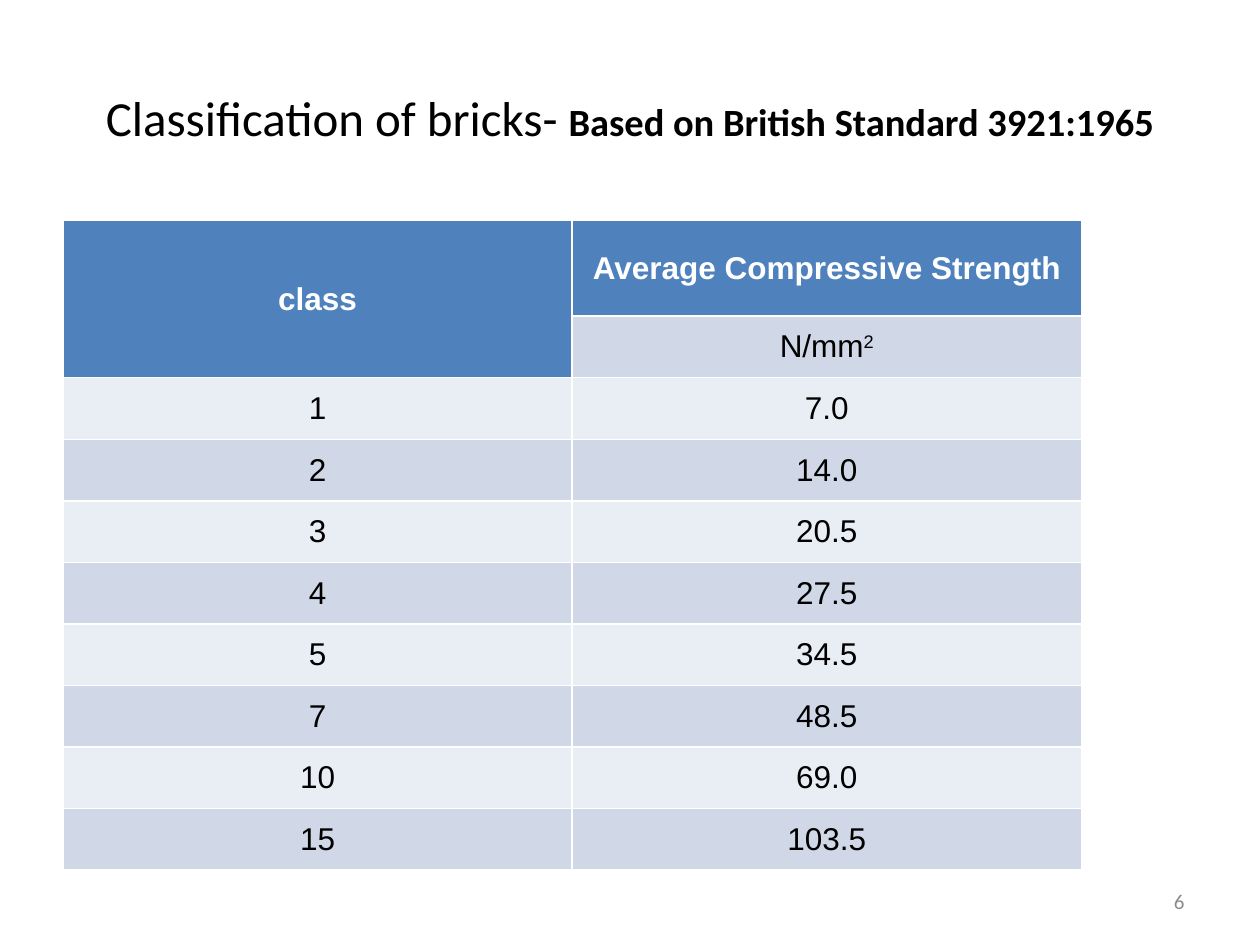
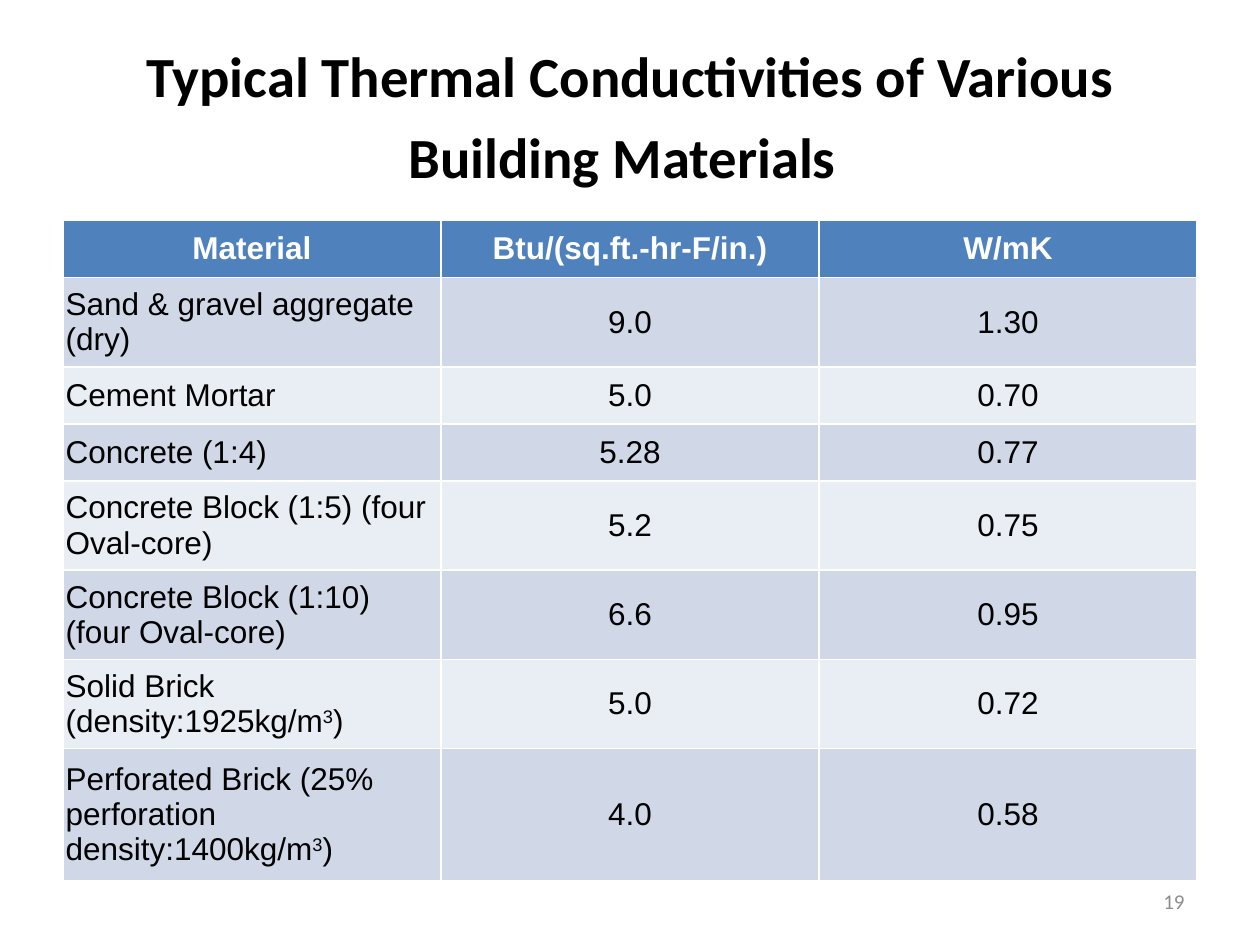
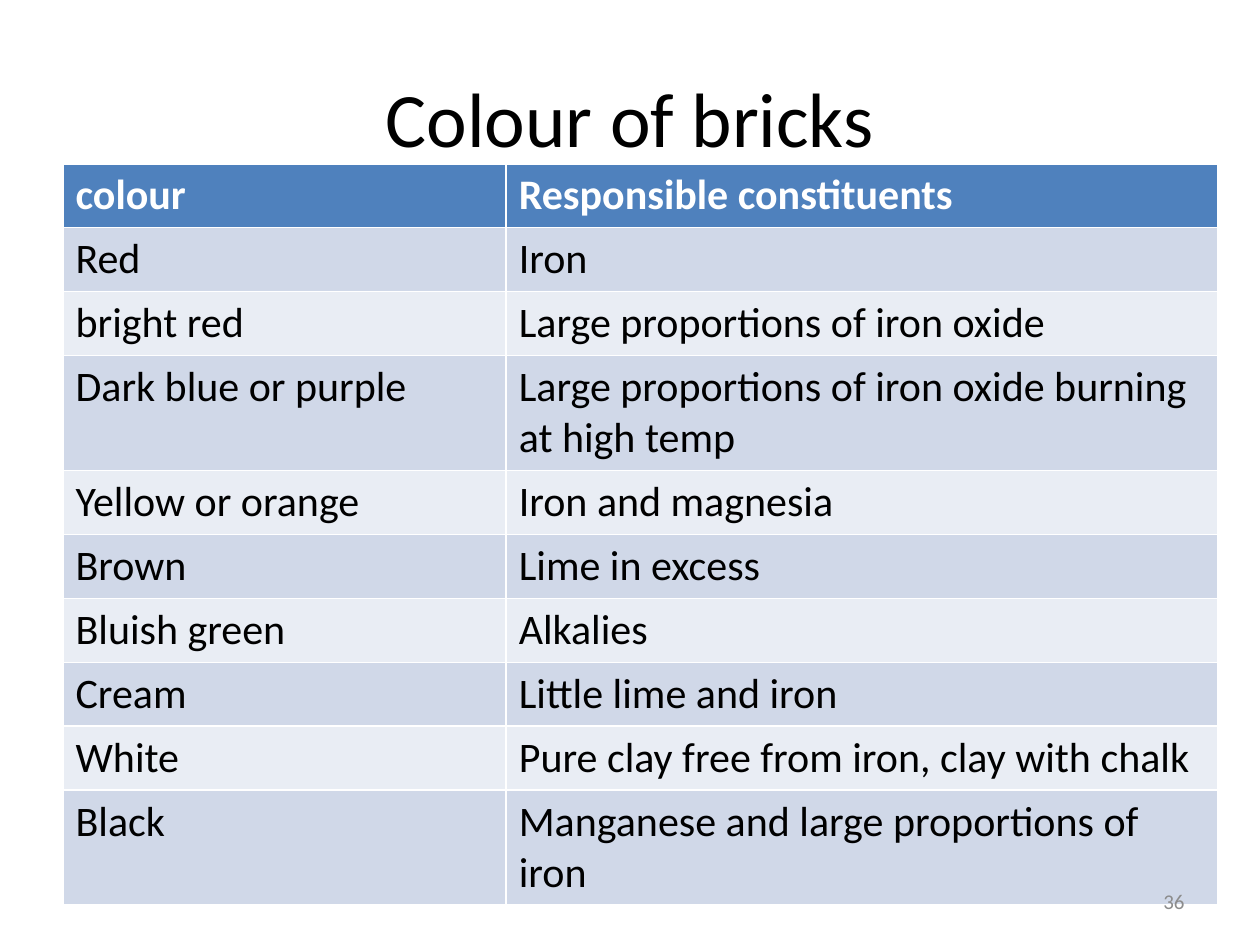
import pptx
import pptx.dml.color
import pptx.enum.text
import pptx.util

Pt = pptx.util.Pt
ALIGN = pptx.enum.text.PP_ALIGN
MIDDLE = pptx.enum.text.MSO_ANCHOR.MIDDLE
TOP = pptx.enum.text.MSO_ANCHOR.TOP

# Shared look
HEADER, BAND_DARK, BAND_LIGHT = "4F81BD", "D0D8E8", "E9EDF4"
WHITE, BLACK, GREY = "FFFFFF", "000000", "8C8C8C"
TITLE_BOX = (36, 21.6, 648, 90)
NUMBER_BOX = (516, 500.4, 168, 28.8)
TABLE_LEFT = 36

# Table styles: text between carets in a cell is superscript
DATA_STYLE = dict(font="Arial", size=18, margins=(1.5, 1.5), anchor=MIDDLE)
LIST_STYLE = dict(font="Calibri", size=24, margins=(7.2, 3.6), anchor=TOP)

# Content: title runs are (text, size, bold)
SLIDES = [
    dict(
        number="6",
        title=[("Classification of bricks- ", 28, False),
               ("Based on British Standard 3921:1965", 22, True)],
        top=126, columns=[291, 291], heights=[54.7] + [35.2] * 9,
        style=DATA_STYLE, aligns=[ALIGN.CENTER] * 2, first_column_span=2,
        rows=[
            ("class", "Average Compressive Strength"),
            ("", "N/mm^2^"),
            ("1", "7.0"),
            ("2", "14.0"),
            ("3", "20.5"),
            ("4", "27.5"),
            ("5", "34.5"),
            ("7", "48.5"),
            ("10", "69.0"),
            ("15", "103.5"),
        ],
    ),
    dict(
        number="19",
        title=[("Typical Thermal Conductivities of Various Building Materials", 32.4, True),
               (" ", 39.6, False)],
        top=126, columns=[216] * 3,
        heights=[32.6, 51, 32.6, 32.6, 51, 51, 51, 75.4],
        style=DATA_STYLE, aligns=[ALIGN.LEFT, ALIGN.CENTER, ALIGN.CENTER],
        first_column_span=1,
        rows=[
            ("Material", "Btu/(sq.ft.-hr-F/in.)", "W/mK"),
            ("Sand & gravel aggregate (dry)", "9.0", "1.30"),
            ("Cement Mortar", "5.0", "0.70"),
            ("Concrete (1:4)", "5.28", "0.77"),
            ("Concrete Block (1:5) (four Oval-core)", "5.2", "0.75"),
            ("Concrete Block (1:10) (four Oval-core)", "6.6", "0.95"),
            ("Solid Brick (density:1925kg/m^3^)", "5.0", "0.72"),
            ("Perforated Brick (25% perforation density:1400kg/m^3^)", "4.0", "0.58"),
        ],
    ),
    dict(
        number="36",
        title=[("Colour of bricks", 44, False)],
        top=93.6, columns=[253.3, 406.7], heights=[29.5] * 10,
        style=LIST_STYLE, aligns=[ALIGN.LEFT] * 2, first_column_span=1,
        rows=[
            ("colour", "Responsible constituents"),
            ("Red", "Iron"),
            ("bright red", "Large proportions of iron oxide"),
            ("Dark blue or purple", "Large proportions of iron oxide burning at high temp"),
            ("Yellow or orange", "Iron and magnesia"),
            ("Brown", "Lime in excess"),
            ("Bluish green", "Alkalies"),
            ("Cream", "Little lime and iron"),
            ("White", "Pure clay free from iron, clay with chalk"),
            ("Black", "Manganese and large proportions of iron"),
        ],
    ),
]


def color(value):
    return pptx.dml.color.RGBColor.from_string(value)


def add_run(para, text, font, size, tint, bold=False):
    run = para.add_run()
    run.text = text
    run.font.name = font
    run.font.size = Pt(size)
    run.font.bold = bold
    run.font.color.rgb = color(tint)
    return run


def add_title(page, runs):
    title = page.shapes.title
    title.left, title.top, title.width, title.height = map(Pt, TITLE_BOX)
    frame = title.text_frame
    frame.auto_size = pptx.enum.text.MSO_AUTO_SIZE.NONE
    frame.vertical_anchor = MIDDLE
    para = frame.paragraphs[0]
    para.alignment = ALIGN.CENTER
    for text, size, bold in runs:
        add_run(para, text, "Calibri", size, BLACK, bold)


def add_number(page, number):
    frame = page.shapes.add_textbox(*map(Pt, NUMBER_BOX)).text_frame
    frame.word_wrap = True
    frame.vertical_anchor = MIDDLE
    para = frame.paragraphs[0]
    para.alignment = ALIGN.RIGHT
    add_run(para, number, "Calibri", 12, GREY)


def fill_cell(cell, text, style, align, background, is_header):
    cell.fill.solid()
    cell.fill.fore_color.rgb = color(background)
    side, edge = map(Pt, style["margins"])
    cell.margin_left = cell.margin_right = side
    cell.margin_top = cell.margin_bottom = edge
    cell.vertical_anchor = style["anchor"]
    para = cell.text_frame.paragraphs[0]
    para.alignment = align
    tint = WHITE if is_header else BLACK
    for index, part in enumerate(text.split("^")):
        if part:
            run = add_run(para, part, style["font"], style["size"], tint, is_header)
            if index % 2:
                run.font._element.set("baseline", "30000")


def add_table(page, content):
    rows, columns, heights = content["rows"], content["columns"], content["heights"]
    table = page.shapes.add_table(
        len(rows), len(columns), Pt(TABLE_LEFT), Pt(content["top"]),
        Pt(sum(columns)), Pt(sum(heights))).table
    for column, width in zip(table.columns, columns):
        column.width = Pt(width)
    for row, height in zip(table.rows, heights):
        row.height = Pt(height)
    span = content["first_column_span"]
    if span > 1:
        table.cell(0, 0).merge(table.cell(span - 1, 0))

    centred_header = content["style"] is DATA_STYLE
    for i, row in enumerate(rows):
        for j, text in enumerate(row):
            cell = table.cell(i, j)
            is_header = i == 0 or cell.is_spanned
            background = HEADER if is_header else (BAND_DARK if i % 2 else BAND_LIGHT)
            align = ALIGN.CENTER if is_header and centred_header else content["aligns"][j]
            fill_cell(cell, text, content["style"], align, background, is_header)


def main():
    deck = pptx.Presentation()
    deck.slide_width, deck.slide_height = Pt(720), Pt(540)
    title_only = deck.slide_layouts[5]
    for content in SLIDES:
        page = deck.slides.add_slide(title_only)
        add_title(page, content["title"])
        add_table(page, content)
        add_number(page, content["number"])
    deck.save("out.pptx")


if __name__ == "__main__":
    main()
